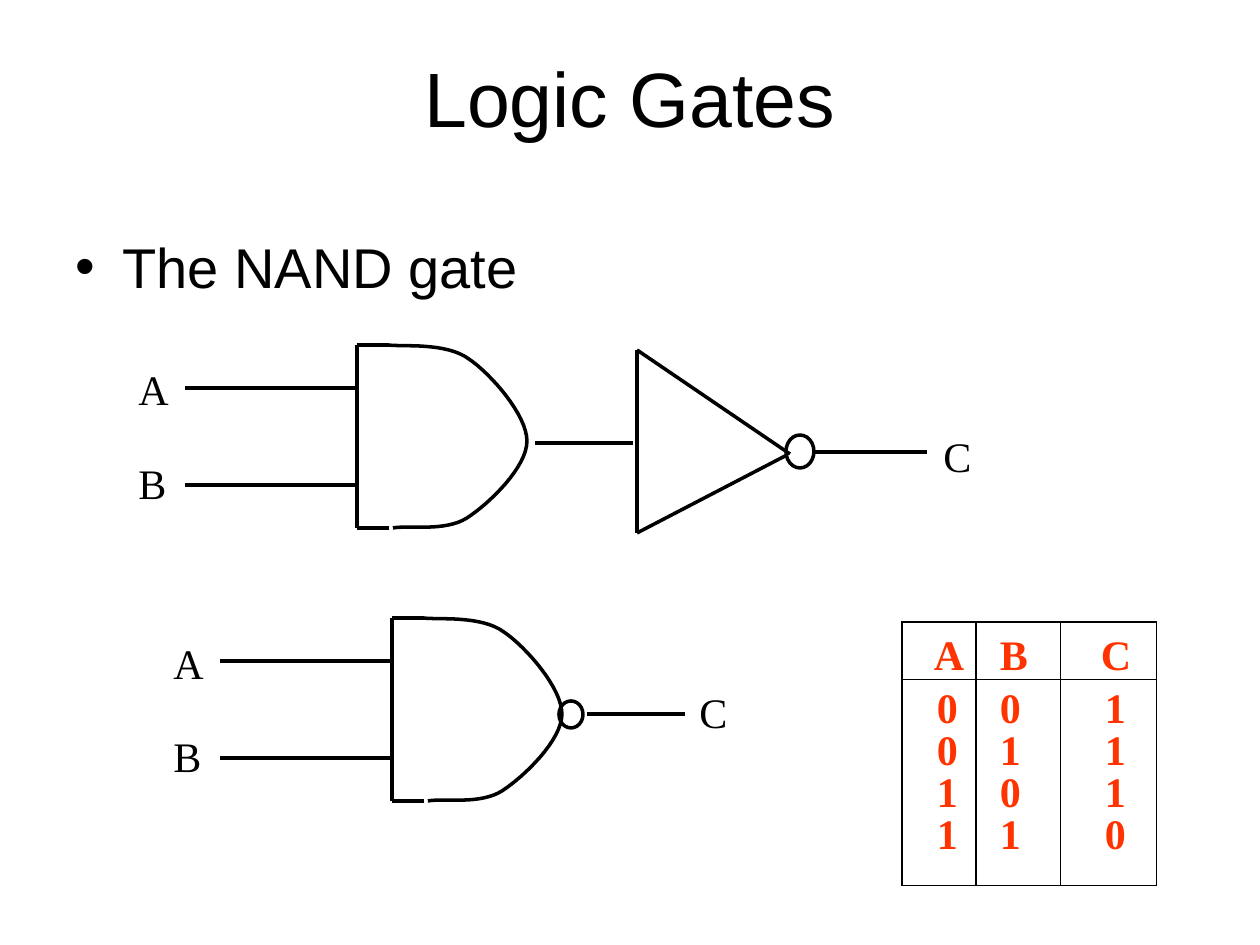
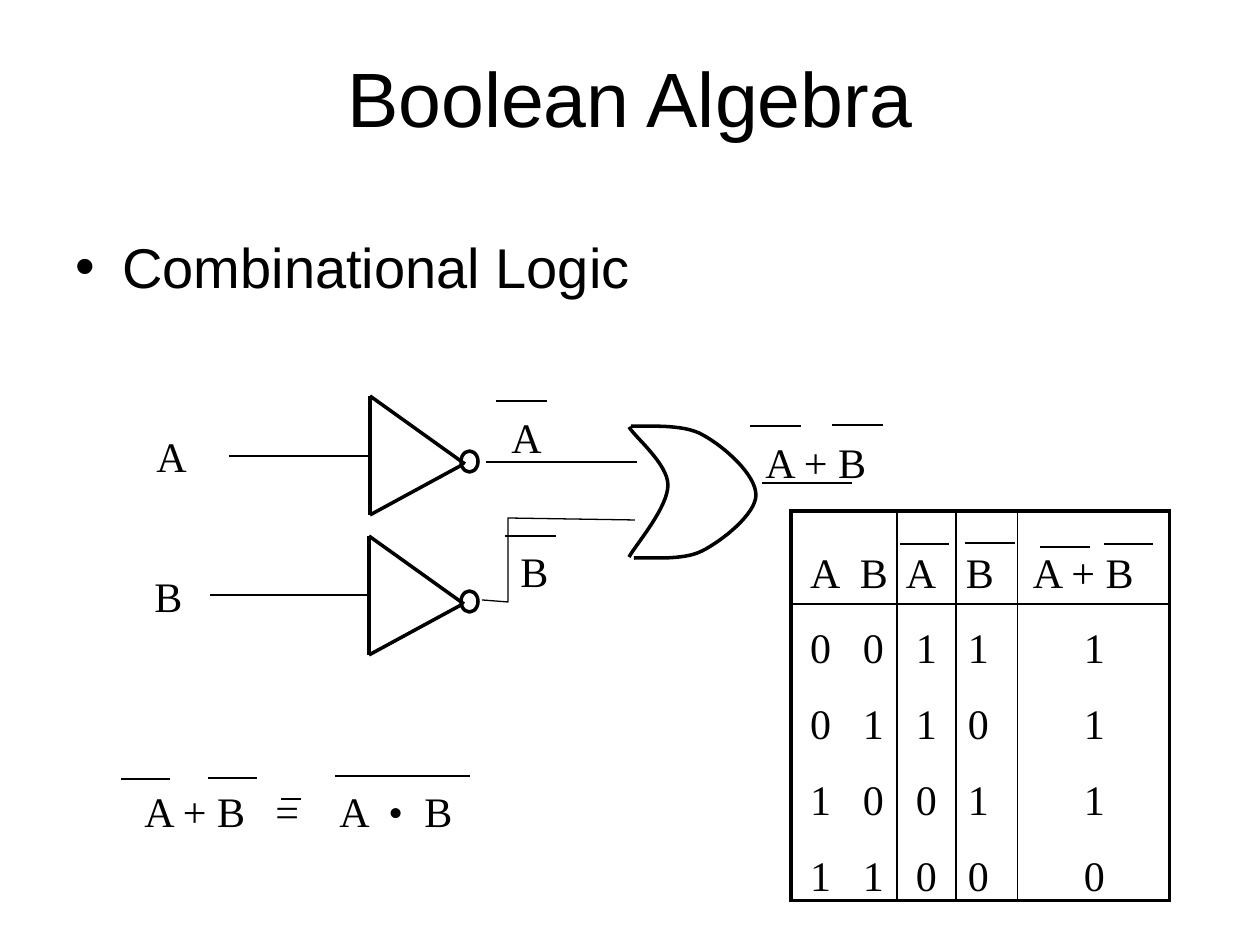
from lxml import etree
from pptx import Presentation
from pptx.dml.color import RGBColor
from pptx.enum.shapes import MSO_CONNECTOR, MSO_SHAPE
from pptx.enum.text import MSO_ANCHOR, PP_ALIGN
from pptx.oxml.ns import qn
from pptx.util import Pt

STRAIGHT = MSO_CONNECTOR.STRAIGHT
OVAL = MSO_SHAPE.OVAL
CENTER = PP_ALIGN.CENTER
MIDDLE, TOP = MSO_ANCHOR.MIDDLE, MSO_ANCHOR.TOP
PX = 914400 / 126


class Theme:
    ink = RGBColor(0x00, 0x00, 0x00)
    red = RGBColor(0xFF, 0x33, 0x00)
    sans, serif = "Arial", "Times New Roman"
    title, bullet, label, row_pitch = Pt(44), Pt(32), Pt(24), Pt(23)
    thick, thin = Pt(2), Pt(0.75)


def line(s, pts, width=Theme.thick, curved=False):
    """Connector for two points, open outline for more; curved takes cubic control points."""
    if curved:
        steps, path_pts = 16, [pts[0]]
        for i in range(0, len(pts) - 1, 3):
            a, b, c, d = pts[i:i + 4]
            for k in range(1, steps + 1):
                t = k / steps
                u = 1 - t
                path_pts.append(tuple(
                    u**3 * a[j] + 3 * u * u * t * b[j] + 3 * u * t * t * c[j] + t**3 * d[j]
                    for j in (0, 1)))
        pts = path_pts
    emu = [(round(x * PX), round(y * PX)) for x, y in pts]
    if len(emu) == 2:
        sp = s.shapes.add_connector(STRAIGHT, *emu[0], *emu[1])
    else:
        fb = s.shapes.build_freeform(*emu[0], scale=1.0)
        fb.add_line_segments(emu[1:], close=False)
        sp = fb.convert_to_shape()
        sp.fill.background()
    sp.line.color.rgb = Theme.ink
    sp.line.width = width
    if len(emu) == 2:
        etree.SubElement(sp._element.spPr, qn("a:effectLst"))
    else:
        sp.shadow.inherit = False


def text(s, x, y, w, words, tabs=()):
    """One-line serif label, with optional tab stops."""
    sp = s.shapes.add_textbox(*(round(v * PX) for v in (x, y, w, 63)))
    tf = sp.text_frame
    tf.word_wrap = True
    tf.margin_top = round(10 * PX)
    p = tf.paragraphs[0]
    p.text = words
    if tabs:
        tab_list = etree.SubElement(p._p.get_or_add_pPr(), qn("a:tabLst"))
        for pos in tabs:
            etree.SubElement(tab_list, qn("a:tab"), pos=str(round(pos * PX)), algn="l")
    for r in p.runs:
        r.font.name, r.font.size = Theme.serif, Theme.label
        r.font.color.rgb = Theme.ink


prs = Presentation()
prs.slide_width, prs.slide_height = round(1260 * PX), round(945 * PX)

# Titles and bullets
for title, bullet in (("Logic Gates", "The NAND gate"),
                      ("Boolean Algebra", "Combinational Logic")):
    s = prs.slides.add_slide(prs.slide_layouts[5])
    sp = s.shapes.title
    sp.left, sp.top, sp.width, sp.height = (round(v * PX) for v in (63, 38, 1134, 130))
    tf = sp.text_frame
    tf.text = title
    tf.vertical_anchor = MIDDLE
    tf.margin_bottom = round(18 * PX)
    p = tf.paragraphs[0]
    p.alignment = CENTER
    f = p.runs[0].font
    f.name, f.size, f.color.rgb = Theme.sans, Theme.title, Theme.ink

    sp = s.shapes.add_textbox(*(round(v * PX) for v in (63, 220, 1134, 624)))
    tf = sp.text_frame
    tf.word_wrap = True
    tf.margin_top = round(12 * PX)
    p = tf.paragraphs[0]
    p.text = bullet
    pPr = p._p.get_or_add_pPr()
    pPr.set("marL", str(round(47 * PX)))
    pPr.set("indent", str(round(-47 * PX)))
    etree.SubElement(pPr, qn("a:buFont"), typeface=Theme.sans)
    etree.SubElement(pPr, qn("a:buChar"), char="•")
    f = p.runs[0].font
    f.name, f.size, f.color.rgb = Theme.sans, Theme.bullet, Theme.ink

gates, algebra = prs.slides

# AND bodies with inputs and output wire
and_curve = [(32, 0), (45, 2), (89, -3), (112, 14), (134, 29), (170, 70), (170, 96),
             (170, 122), (133, 158), (110, 173), (88, 187), (51, 180), (36, 183)]
for x, y, out_x, out_y in ((357, 345, 178, 98), (392, 618, 195, 96)):
    line(gates, [(x + dx, y + dy) for dx, dy in and_curve], curved=True)
    for x1, y1, x2, y2 in ((0, 0, 0, 183), (0, 0, 32, 0), (0, 183, 32, 183),
                           (-172, 43, 0, 43), (-172, 140, 0, 140),
                           (out_x, out_y, out_x + 98, out_y)):
        line(gates, [(x + x1, y + y1), (x + x2, y + y2)])
    for name, dy in (("A", 9), ("B", 103)):
        text(gates, x - 231, y + dy, 179, name)
line(gates, [(812, 452), (927, 452)])
text(gates, 931, 421, 126, "C")
text(gates, 687, 677, 126, "C")

# Inverter triangles
for s, x, y, w, h, tip in ((gates, 637, 350, 153, 183, 104),
                           (algebra, 370, 396, 95, 119, 68),
                           (algebra, 369, 536, 95, 119, 68)):
    line(s, [(x, y), (x, y + h)])
    line(s, [(x, y), (x + w, y + tip)])
    line(s, [(x, y + h), (x + w - 3, y + tip + 1)])

# Negation bubbles
for s, x, y, w, h in ((gates, 786, 435, 28, 33), (gates, 559, 701, 24, 27),
                      (algebra, 461, 451, 17, 21), (algebra, 461, 591, 17, 21)):
    sp = s.shapes.add_shape(OVAL, *(round(v * PX) for v in (x, y, w, h)))
    sp.shadow.inherit = False
    sp.fill.background()
    sp.line.color.rgb = Theme.ink
    sp.line.width = Theme.thick

# OR gate
line(algebra, [(629, 427), (635, 437), (668, 464), (668, 485),
               (668, 507), (638, 542), (629, 557)], curved=True)
line(algebra, [(631, 426), (643, 427), (683, 423), (703, 435), (725, 447), (756, 475),
               (756, 495), (756, 514), (722, 541), (702, 551), (682, 561), (649, 557),
               (634, 558)], curved=True)

# Wires and labels of the combined circuit
for pts in ([(229, 456), (370, 456)], [(210, 595), (370, 595)],
            [(486, 462), (637, 462)], [(762, 483), (852, 483)],
            [(482, 600), (508, 602), (508, 518), (635, 520)]):
    line(algebra, pts, Theme.thin)
for x, y, w, words in ((144, 420, 78, "A"), (142, 561, 78, "B"), (499, 401, 102, "A"),
                       (508, 536, 102, "B"), (753, 426, 161, "A + B")):
    text(algebra, x, y, w, words)

# De Morgan identity
text(algebra, 132, 776, 422, "A + B\t=\tA\t•\tB", tabs=(131, 195, 244, 280))

# Truth tables: column edges, row edges, text offset in each row, text starts
tables = (
    dict(s=gates, cols=(902, 976, 1061, 1157), rows=(622, 679, 734, 776, 818, 885),
         drop=(17, 13, 0, 0, 0), head_x=(934, 1000, 1101), digit_x=(937, 1000, 1105),
         data=("A B C", "0 0 1", "0 1 1", "1 0 1", "1 1 0"),
         color=Theme.red, bold=True, frame=Theme.thin, ruled=(1, 2)),
    dict(s=algebra, cols=(791, 845, 897, 956, 1018, 1170),
         rows=(511, 604, 680, 756, 832, 900), drop=(46, 28, 28, 28, 28),
         head_x=(810, 860, 906, 966, 1033), digit_x=(810, 863, 916, 968, 1084),
         data=("A B A B A+B", "0 0 1 1 1", "0 1 1 0 1", "1 0 0 1 1", "1 1 0 0 0"),
         color=Theme.ink, bold=False, frame=Theme.thick, ruled=(2, 3, 4)),
)
for t in tables:
    cols, rows = t["cols"], t["rows"]
    n_rows, n_cols = len(rows) - 1, len(cols) - 1
    box = (cols[0], rows[0], cols[-1] - cols[0], rows[-1] - rows[0])
    tbl = t["s"].shapes.add_table(n_rows, n_cols, *(round(v * PX) for v in box)).table
    tbl.first_row = tbl.horz_banding = False
    for j in range(n_cols):
        tbl.columns[j].width = round((cols[j + 1] - cols[j]) * PX)
    for i, values in enumerate(t["data"]):
        tbl.rows[i].height = round((rows[i + 1] - rows[i]) * PX)
        for j, value in enumerate(values.split()):
            cell = tbl.cell(i, j)
            start = t["digit_x" if i else "head_x"][j]
            cell.margin_left = round((start - cols[j]) * PX)
            cell.margin_top = round(t["drop"][i] * PX)
            cell.margin_right = cell.margin_bottom = 0
            cell.vertical_anchor = TOP
            cell.fill.background()
            p = cell.text_frame.paragraphs[0]
            p.text = value.replace("+", " + ")
            p.line_spacing = Theme.row_pitch
            f = p.runs[0].font
            f.name, f.size, f.bold = Theme.serif, Theme.label, t["bold"]
            f.color.rgb = t["color"]
            # Frame outside, ruled columns and one rule under the header
            tcPr = cell._tc.get_or_add_tcPr()
            edges = (("a:lnL", j, n_cols, t["ruled"]), ("a:lnR", j + 1, n_cols, t["ruled"]),
                     ("a:lnT", i, n_rows, (1,)), ("a:lnB", i + 1, n_rows, (1,)))
            for k, (tag, edge, last, ruled) in enumerate(edges):
                outer = edge in (0, last)
                ln = etree.Element(qn(tag), w=str(int(t["frame"] if outer else Theme.thin)))
                if outer or edge in ruled:
                    fill = etree.SubElement(ln, qn("a:solidFill"))
                    etree.SubElement(fill, qn("a:srgbClr"), val=str(Theme.ink))
                else:
                    etree.SubElement(ln, qn("a:noFill"))
                tcPr.insert(k, ln)

# Negation bars over the letters
for x, y, w in ((496, 401, 51), (505, 536, 51), (750, 426, 51), (832, 425, 51),
                (900, 544, 49), (965, 543, 50), (1040, 547, 50), (1104, 544, 49),
                (121, 779, 49), (208, 778, 49), (335, 776, 135), (281, 799, 20)):
    line(algebra, [(x, y), (x + w, y)], Theme.thin)

prs.save("out.pptx")
